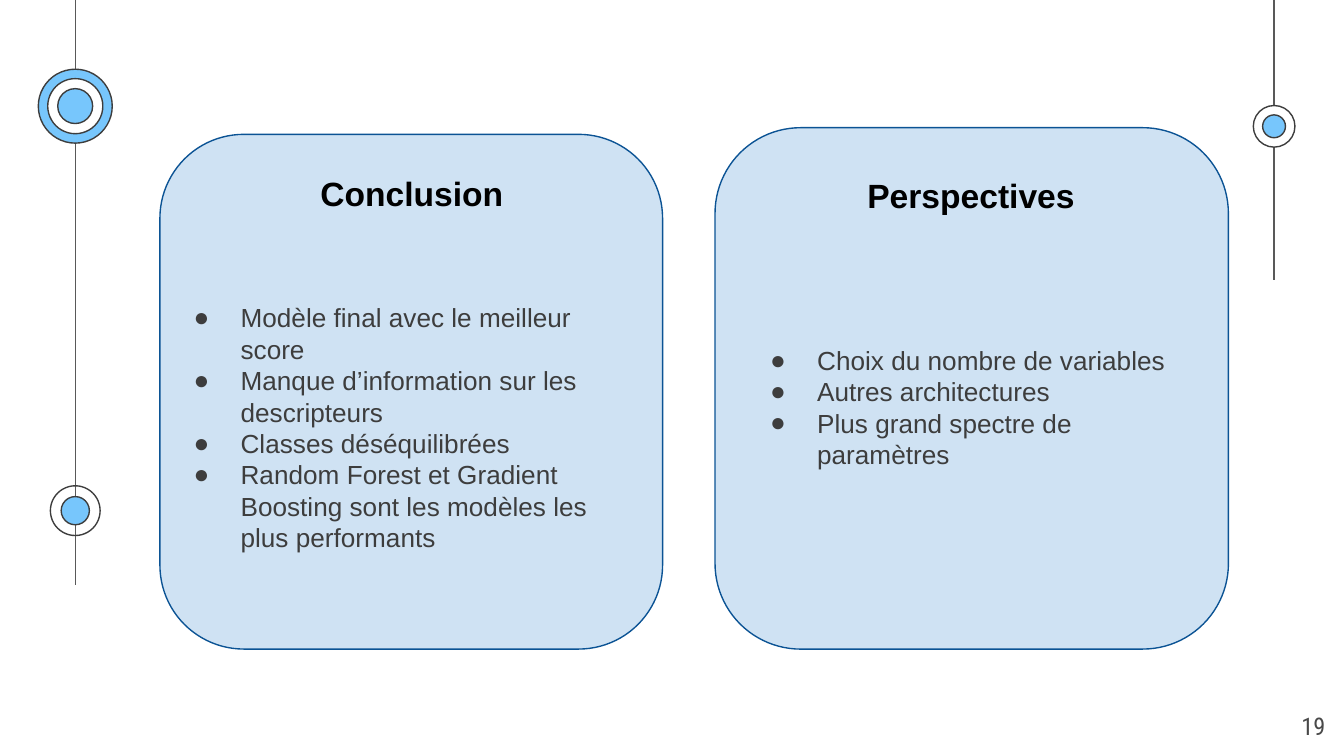
from dataclasses import dataclass

from lxml.etree import SubElement
from pptx import Presentation
from pptx.dml.color import RGBColor as Rgb
from pptx.enum.shapes import MSO_CONNECTOR as Connector, MSO_SHAPE as Shape
from pptx.enum.text import MSO_ANCHOR as Anchor, MSO_AUTO_SIZE as AutoSize, PP_ALIGN as Align
from pptx.oxml.ns import qn
from pptx.util import Inches, Pt


@dataclass(frozen=True)
class Theme:
    """Colours, fonts and sizes of the slide."""

    blue: str = "77C6FC"
    white: str = "FFFFFF"
    ink: str = "3D3D3D"
    rail: str = "595959"
    card: str = "CFE2F3"
    card_edge: str = "0B5394"
    black: str = "000000"
    number: str = "494949"
    font: str = "Arial"
    number_font: str = "Roboto Condensed"
    heading_size: float = 18
    list_size: float = 14
    number_size: float = 13
    stroke: float = 0.75


THEME = Theme()


def apply(target, values):
    """Set every attribute of a format dict on the target."""
    for name, value in values.items():
        setattr(target, name, value)


def box(left, top, width, height):
    """Return position and size as a format dict in inches."""
    sides = {"left": left, "top": top, "width": width, "height": height}
    return {side: Inches(length) for side, length in sides.items()}


def add_rail(slide, x, bottom):
    """Draw a vertical line from the top edge of the slide."""
    rail = slide.shapes.add_connector(
        Connector.STRAIGHT, Inches(x), Inches(0), Inches(x), Inches(bottom))
    rail.line.color.rgb = Rgb.from_string(THEME.rail)
    rail.line.width = Pt(THEME.stroke)
    SubElement(rail.element.spPr, qn("a:effectLst"))


def add_outlined(slide, preset, place, fill, edge):
    """Draw a preset shape with a thin outline and an optional fill."""
    shape = slide.shapes.add_shape(preset, **place)
    shape.shadow.inherit = False
    if fill:
        shape.fill.solid()
        shape.fill.fore_color.rgb = Rgb.from_string(fill)
    else:
        shape.fill.background()
    shape.line.color.rgb = Rgb.from_string(edge)
    shape.line.width = Pt(THEME.stroke)
    return shape


def add_node(slide, x, y, rings):
    """Draw concentric circles, given from the outermost inwards."""
    for diameter, fill in rings:
        place = box(x - diameter / 2, y - diameter / 2, diameter, diameter)
        add_outlined(slide, Shape.OVAL, place, fill, THEME.ink)


def add_card(slide, place):
    """Draw a rounded panel."""
    card = add_outlined(slide, Shape.ROUNDED_RECTANGLE, place, THEME.card, THEME.card_edge)
    card.adjustments[0] = 0.167


def write(holder, lines, anchor, align, color, font):
    """Write formatted paragraphs into a text holder and return them."""
    frame = holder.text_frame
    frame.text = "\n".join(lines)
    margins = {f"margin_{side}": Inches(0.1) for side in ("left", "top", "right", "bottom")}
    apply(frame, {"word_wrap": True, "auto_size": AutoSize.NONE,
                  "vertical_anchor": anchor, **margins})
    for paragraph in frame.paragraphs:
        apply(paragraph, {"alignment": align, "space_before": Pt(0)})
        for run in paragraph.runs:
            apply(run.font, font)
            run.font.color.rgb = Rgb.from_string(color)
    return frame.paragraphs


def place_on_top(holder, place):
    """Position a placeholder and bring it in front of the cards."""
    apply(holder, place)
    holder.element.getparent().append(holder.element)


def add_heading(holder, place, heading):
    """Fill a placeholder with a centred bold heading."""
    place_on_top(holder, place)
    write(holder, [heading], Anchor.TOP, Align.CENTER, THEME.black,
          {"name": THEME.font, "size": Pt(THEME.heading_size), "bold": True})


def add_bullets(holder, place, points):
    """Fill a placeholder with a bulleted list."""
    place_on_top(holder, place)
    paragraphs = write(holder, points, Anchor.MIDDLE, Align.LEFT, THEME.ink,
                       {"name": THEME.font, "size": Pt(THEME.list_size)})
    for paragraph in paragraphs:
        properties = paragraph._p.get_or_add_pPr()
        properties.set("marL", str(Inches(0.5)))
        properties.set("indent", str(Inches(-0.35)))
        SubElement(SubElement(properties, qn("a:buClr")), qn("a:srgbClr"), val=THEME.ink)
        SubElement(properties, qn("a:buFont"), typeface=THEME.font)
        SubElement(properties, qn("a:buChar"), char="●")


def add_page_number(slide, place, number):
    """Write the page number in the bottom corner."""
    write(slide.shapes.add_textbox(**place), [number], Anchor.TOP, Align.RIGHT, THEME.number,
          {"name": THEME.number_font, "size": Pt(THEME.number_size)})


def main():
    """Build and save the conclusion slide."""
    deck = Presentation()
    apply(deck, {"slide_width": Inches(10), "slide_height": Inches(10 * 9 / 16)})
    slide = deck.slides.add_slide(deck.slide_layouts.get_by_name("Comparison"))
    title, *holders = slide.placeholders
    title.element.getparent().remove(title.element)
    left_heading, left_list, right_heading, right_list = holders

    left_rail, right_rail = 0.56, 9.48
    add_rail(slide, left_rail, 4.35)
    add_rail(slide, right_rail, 2.08)
    add_node(slide, left_rail, 3.8, [(0.37, None), (0.21, THEME.blue)])
    add_node(slide, right_rail, 0.94, [(0.31, THEME.white), (0.17, THEME.blue)])
    add_node(slide, left_rail, 0.79,
             [(0.55, THEME.blue), (0.41, THEME.white), (0.26, THEME.blue)])

    add_card(slide, box(5.32, 0.95, 3.82, 3.88))
    add_card(slide, box(1.19, 1, 3.74, 3.83))

    add_heading(left_heading, box(2.02, 1.19, 2.09, 0.54), "Conclusion")
    add_bullets(left_list, box(1.19, 1.73, 3.63, 2.9), [
        "Modèle final avec le meilleur score",
        "Manque d’information sur les descripteurs",
        "Classes déséquilibrées",
        "Random Forest et Gradient Boosting sont les modèles les plus performants",
    ])
    add_heading(right_heading, box(6.22, 1.2, 2.01, 0.51), "Perspectives")
    add_bullets(right_list, box(5.48, 1.9, 3.49, 2.26), [
        "Choix du nombre de variables",
        "Autres architectures",
        "Plus grand spectre de paramètres",
    ])
    add_page_number(slide, box(9.36, 5.19, 0.6, 0.43), "19")
    deck.save("out.pptx")


if __name__ == "__main__":
    main()
